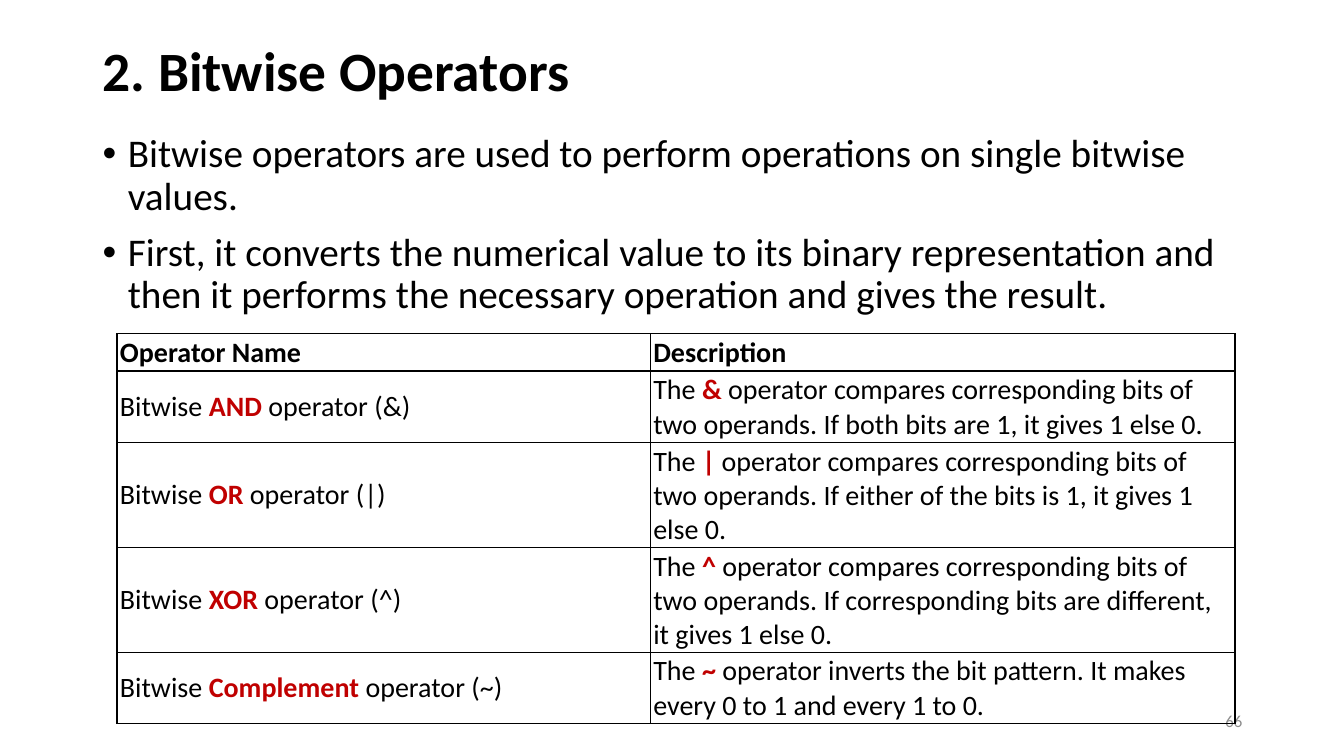
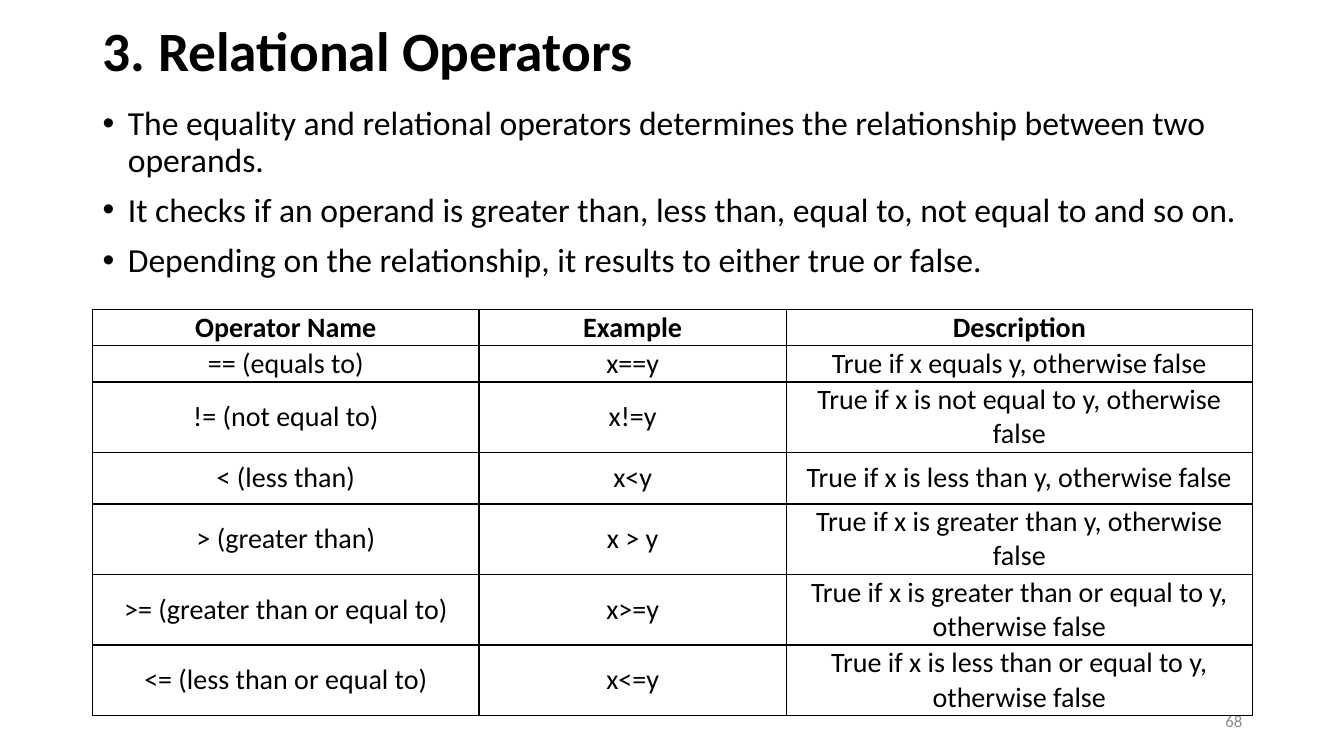
from lxml import etree
from pptx import Presentation
from pptx.dml.color import RGBColor
from pptx.enum.text import MSO_ANCHOR, PP_ALIGN
from pptx.oxml.ns import qn
from pptx.util import Inches, Pt

LEFT, CENTER, RIGHT = PP_ALIGN.LEFT, PP_ALIGN.CENTER, PP_ALIGN.RIGHT
TOP, MIDDLE = MSO_ANCHOR.TOP, MSO_ANCHOR.MIDDLE
FONT = "Calibri"
COLORS = {"text": "000000", "accent": "C00000", "number": "8C8C8C"}
MARGIN, WIDTH = 0.92, 11.5

bitwise = [
    ("AND", "&", "compares corresponding bits of two operands. If both bits are 1, it gives 1 else 0."),
    ("OR", "|", "compares corresponding bits of two operands. If either of the bits is 1, it gives 1 else 0."),
    ("XOR", "^", "compares corresponding bits of two operands. If corresponding bits are different, it gives 1 else 0."),
    ("Complement", "~", "inverts the bit pattern. It makes every 0 to 1 and every 1 to 0."),
]
relational = [
    ("==", "equals to", "x==y", "equals y"),
    ("!=", "not equal to", "x!=y", "is not equal to y"),
    ("<", "less than", "x<y", "is less than y"),
    (">", "greater than", "x > y", "is greater than y"),
    (">=", "greater than or equal to", "x>=y", "is greater than or equal to y"),
    ("<=", "less than or equal to", "x<=y", "is less than or equal to y"),
]

slides = [
    {
        "title": "2. Bitwise Operators", "title_box": (0.4, 0.66),
        "body_box": (1.28, 2.12), "body_size": 28, "number": "66",
        "bullets": [
            "Bitwise operators are used to perform operations on single bitwise values.",
            "First, it converts the numerical value to its binary representation "
            "and then it performs the necessary operation and gives the result.",
        ],
        "table_at": (1.16, 3.31), "cols": [5.29, 5.8],
        "rows": [0.33, 0.63, 0.93, 0.93, 0.63],
        "align": LEFT, "insets": (0.03, 0.02), "header_line": 2,
        "cells": [("Operator Name", "Description")] + [
            (f"Bitwise *{name} *operator ({symbol})", f"The *{symbol}* operator {effect}")
            for name, symbol, effect in bitwise],
    },
    {
        "title": "3. Relational Operators", "title_box": (0.22, 0.62),
        "body_box": (1.01, 1.87), "body_size": 24, "number": "68",
        "bullets": [
            "The equality and relational operators determines the relationship between two operands.",
            "It checks if an operand is greater than, less than, equal to, not equal to and so on.",
            "Depending on the relationship, it results to either true or false.",
        ],
        "table_at": (MARGIN, 3.07), "cols": [3.83, 3.05, 4.62],
        "rows": [0.36, 0.36, 0.7, 0.51, 0.7, 0.7, 0.7],
        "align": CENTER, "insets": (0.02, 0.01), "header_line": 1,
        "cells": [("Operator Name", "Example", "Description")] + [
            (f"{symbol} ({name})", example, f"True if x {test}, otherwise false")
            for symbol, name, example, test in relational],
    },
]


def add_runs(p, text, size, color="text", bold=False):
    for i, part in enumerate(text.split("*")):
        if part:
            marked = i % 2 == 1
            r = p.add_run()
            r.text = part
            r.font.name = FONT
            r.font.size = Pt(size)
            r.font.bold = bold or marked
            r.font.color.rgb = RGBColor.from_string(COLORS["accent" if marked else color])


def add_text_box(s, left, top, width, height, anchor):
    sp = s.shapes.add_textbox(Inches(left), Inches(top), Inches(width), Inches(height))
    tf = sp.text_frame
    tf.word_wrap = True
    tf.vertical_anchor = anchor
    return tf


prs = Presentation()
prs.slide_width, prs.slide_height = Inches(13.33), Inches(7.5)

for data in slides:
    s = prs.slides.add_slide(prs.slide_layouts[6])

    top, height = data["title_box"]
    p = add_text_box(s, MARGIN, top, WIDTH, height, MIDDLE).paragraphs[0]
    p.line_spacing = 0.9
    add_runs(p, data["title"], 39.6, bold=True)

    top, height = data["body_box"]
    tf = add_text_box(s, MARGIN, top, WIDTH, height, TOP)
    for i, bullet in enumerate(data["bullets"]):
        p = tf.add_paragraph() if i else tf.paragraphs[0]
        p.line_spacing = 0.9
        p.space_before = Pt(10)
        pPr = p._p.get_or_add_pPr()
        pPr.set("marL", str(Inches(0.25)))
        pPr.set("indent", str(Inches(-0.25)))
        etree.SubElement(pPr, qn("a:buFont"), typeface="Arial")
        etree.SubElement(pPr, qn("a:buChar"), char="•")
        add_runs(p, bullet, data["body_size"])

    p = add_text_box(s, 9.42, 6.95, 3, 0.4, MIDDLE).paragraphs[0]
    p.alignment = RIGHT
    add_runs(p, data["number"], 12, "number")

    left, top = data["table_at"]
    cols, rows = data["cols"], data["rows"]
    table = s.shapes.add_table(len(rows), len(cols), Inches(left), Inches(top),
                               Inches(sum(cols)), Inches(sum(rows))).table
    table.horz_banding = False
    for column, width in zip(table.columns, cols):
        column.width = Inches(width)
    for row, height in zip(table.rows, rows):
        row.height = Inches(height)

    side, edge = data["insets"]
    for i, texts in enumerate(data["cells"]):
        widths = {"lnL": 1, "lnR": 1,
                  "lnT": data["header_line"] if i == 1 else 1,
                  "lnB": data["header_line"] if i == 0 else 1}
        for j, text in enumerate(texts):
            cell = table.cell(i, j)
            cell.fill.background()
            cell.vertical_anchor = MIDDLE
            cell.margin_left = cell.margin_right = Inches(side)
            cell.margin_top = cell.margin_bottom = Inches(edge)
            p = cell.text_frame.paragraphs[0]
            p.alignment = data["align"]
            add_runs(p, text, 20, bold=i == 0)
            tcPr = cell._tc.get_or_add_tcPr()
            for k, (tag, width) in enumerate(widths.items()):
                ln = etree.Element(qn(f"a:{tag}"), w=str(Pt(width)))
                fill = etree.SubElement(ln, qn("a:solidFill"))
                etree.SubElement(fill, qn("a:srgbClr"), val=COLORS["text"])
                tcPr.insert(k, ln)

prs.save("out.pptx")
